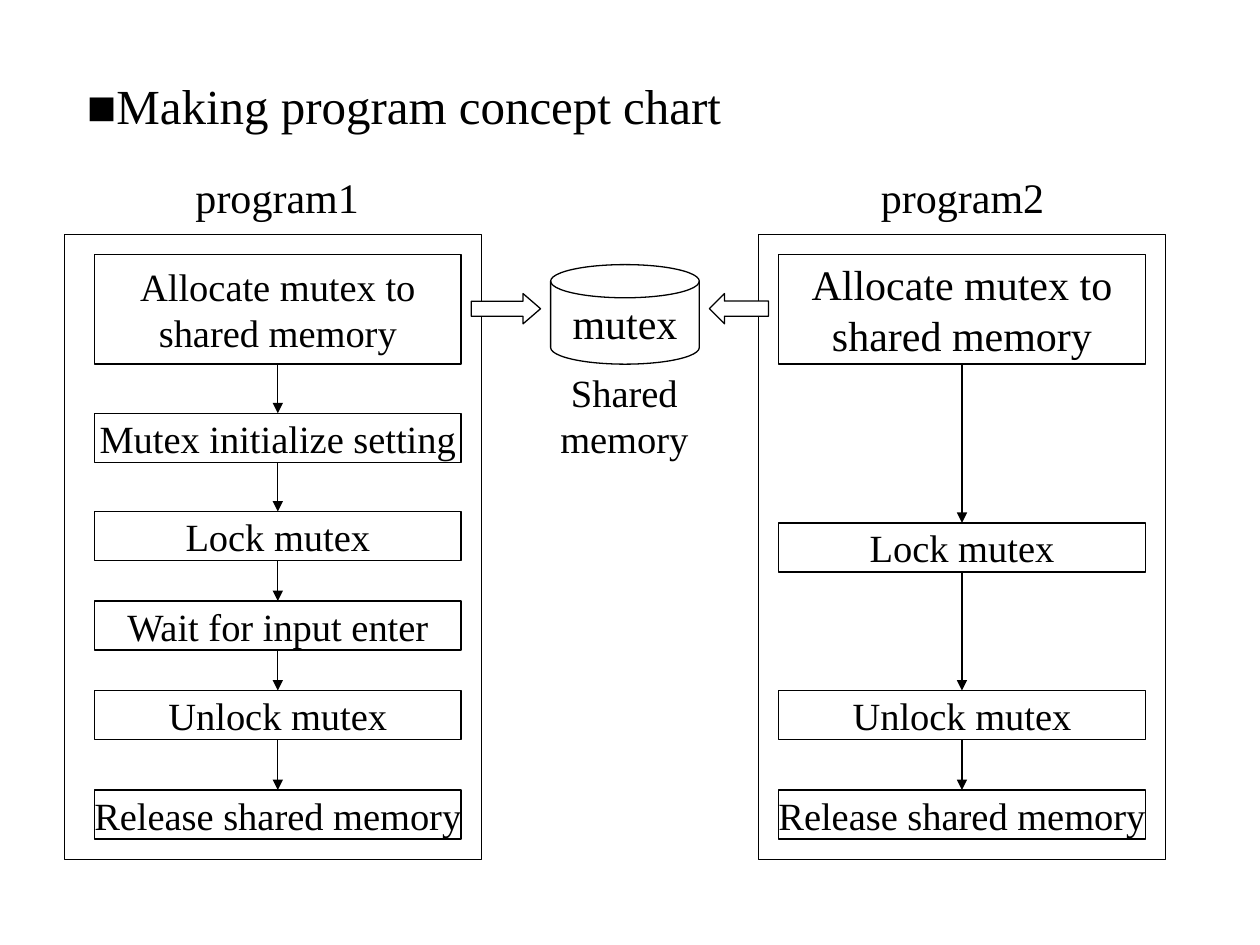
from dataclasses import dataclass

from lxml import etree
from pptx import Presentation
from pptx.dml.color import RGBColor
from pptx.enum.shapes import MSO_CONNECTOR, MSO_SHAPE
from pptx.enum.text import MSO_ANCHOR, MSO_AUTO_SIZE, PP_ALIGN
from pptx.oxml.ns import qn
from pptx.util import Inches, Pt

STRAIGHT = MSO_CONNECTOR.STRAIGHT
RECTANGLE = MSO_SHAPE.RECTANGLE
PROCESS = MSO_SHAPE.FLOWCHART_PROCESS
DISK = MSO_SHAPE.FLOWCHART_MAGNETIC_DISK
LEFT_ARROW = MSO_SHAPE.LEFT_ARROW
MIDDLE, TOP = MSO_ANCHOR.MIDDLE, MSO_ANCHOR.TOP
LEFT, CENTER = PP_ALIGN.LEFT, PP_ALIGN.CENTER
NO_AUTOFIT = MSO_AUTO_SIZE.NONE


@dataclass(frozen=True)
class Theme:
    font: str = "Times New Roman"
    ink: RGBColor = RGBColor(0, 0, 0)
    paper: RGBColor = RGBColor(255, 255, 255)
    title: int = 28
    label: int = 24
    step: int = 22
    line: float = 0.75


THEME = Theme()

TITLE = "■Making program concept chart"
ALLOCATE = "Allocate mutex to shared memory"

# Each step: text, top
PROGRAMS = [
    {
        "name": "program1", "name_left": 0.98,
        "frame_left": 0.51, "frame_width": 3.31,
        "step_left": 0.75, "first_size": THEME.step,
        "steps": [
            (ALLOCATE, 2.02),
            ("Mutex initialize setting", 3.28),
            ("Lock mutex", 4.06),
            ("Wait for input enter", 4.77),
            ("Unlock mutex", 5.48),
            ("Release shared memory", 6.27),
        ],
    },
    {
        "name": "program2", "name_left": 6.42,
        "frame_left": 6.02, "frame_width": 3.23,
        "step_left": 6.18, "first_size": THEME.label,
        "steps": [
            (ALLOCATE, 2.02),
            ("Lock mutex", 4.15),
            ("Unlock mutex", 5.48),
            ("Release shared memory", 6.27),
        ],
    },
]

# Left, width, rotation, head length relative to arrow height
MEMORY_ARROWS = [(5.63, 0.47, 0, 0.5), (3.74, 0.55, 180, 0.58)]

FRAME_TOP, FRAME_HEIGHT = 1.86, 4.96
STEP_WIDTH, FIRST_HEIGHT, STEP_HEIGHT = 2.91, 0.87, 0.39


def write(shape, text, size, align=CENTER, anchor=MIDDLE, wrap=True):
    frame = shape.text_frame
    frame.auto_size = NO_AUTOFIT
    frame.word_wrap = wrap
    frame.vertical_anchor = anchor
    para = frame.paragraphs[0]
    para.text = text
    para.alignment = align
    para.font.name = THEME.font
    para.font.size = Pt(size)
    para.font.color.rgb = THEME.ink


def add_outlined(slide, kind, left, top, width, height, filled=True):
    shape = slide.shapes.add_shape(
        kind, Inches(left), Inches(top), Inches(width), Inches(height))
    shape.shadow.inherit = False
    if filled:
        shape.fill.solid()
        shape.fill.fore_color.rgb = THEME.paper
    else:
        shape.fill.background()
    shape.line.color.rgb = THEME.ink
    shape.line.width = Pt(THEME.line)
    return shape


def add_label(slide, text, left, top, width, height, size):
    box = slide.shapes.add_textbox(
        Inches(left), Inches(top), Inches(width), Inches(height))
    write(box, text, size, anchor=TOP)


def add_down_arrow(slide, x, start, end):
    arrow = slide.shapes.add_connector(
        STRAIGHT, Inches(x), Inches(start), Inches(x), Inches(end))
    arrow.line.color.rgb = THEME.ink
    arrow.line.width = Pt(THEME.line)
    etree.SubElement(arrow.line._get_or_add_ln(), qn("a:tailEnd"), type="triangle")
    etree.SubElement(arrow._element.spPr, qn("a:effectLst"))


def add_program(slide, program):
    add_outlined(slide, PROCESS, program["frame_left"], FRAME_TOP,
                 program["frame_width"], FRAME_HEIGHT)
    add_label(slide, program["name"], program["name_left"], 1.31, 2.44, 0.5,
              THEME.label)
    center = program["step_left"] + STEP_WIDTH / 2
    previous_bottom = None
    for text, top in program["steps"]:
        is_first = previous_bottom is None
        height = FIRST_HEIGHT if is_first else STEP_HEIGHT
        size = program["first_size"] if is_first else THEME.step
        box = add_outlined(slide, RECTANGLE, program["step_left"], top,
                           STEP_WIDTH, height)
        write(box, text, size, wrap=is_first)
        if not is_first:
            add_down_arrow(slide, center, previous_bottom, top)
        previous_bottom = top + height


def add_shared_memory(slide):
    add_label(slide, "Shared memory", 4.13, 2.88, 1.65, 0.84, THEME.step)
    disk = add_outlined(slide, DISK, 4.37, 2.1, 1.18, 0.79, filled=False)
    write(disk, "mutex", THEME.label, wrap=False)
    for left, width, rotation, head in MEMORY_ARROWS:
        arrow = add_outlined(slide, LEFT_ARROW, left, 2.33, width, 0.24)
        arrow.adjustments[1] = head
        arrow.rotation = rotation


def main():
    deck = Presentation()
    deck.slide_width, deck.slide_height = Inches(10), Inches(7.5)
    slide = deck.slides.add_slide(deck.slide_layouts.get_by_name("Title Only"))
    title = slide.shapes.title
    title.left, title.top = Inches(0.59), Inches(0.52)
    title.width, title.height = Inches(8.35), Inches(0.63)
    write(title, TITLE, THEME.title, align=LEFT)
    for program in PROGRAMS:
        add_program(slide, program)
    add_shared_memory(slide)
    deck.save("out.pptx")


if __name__ == "__main__":
    main()
